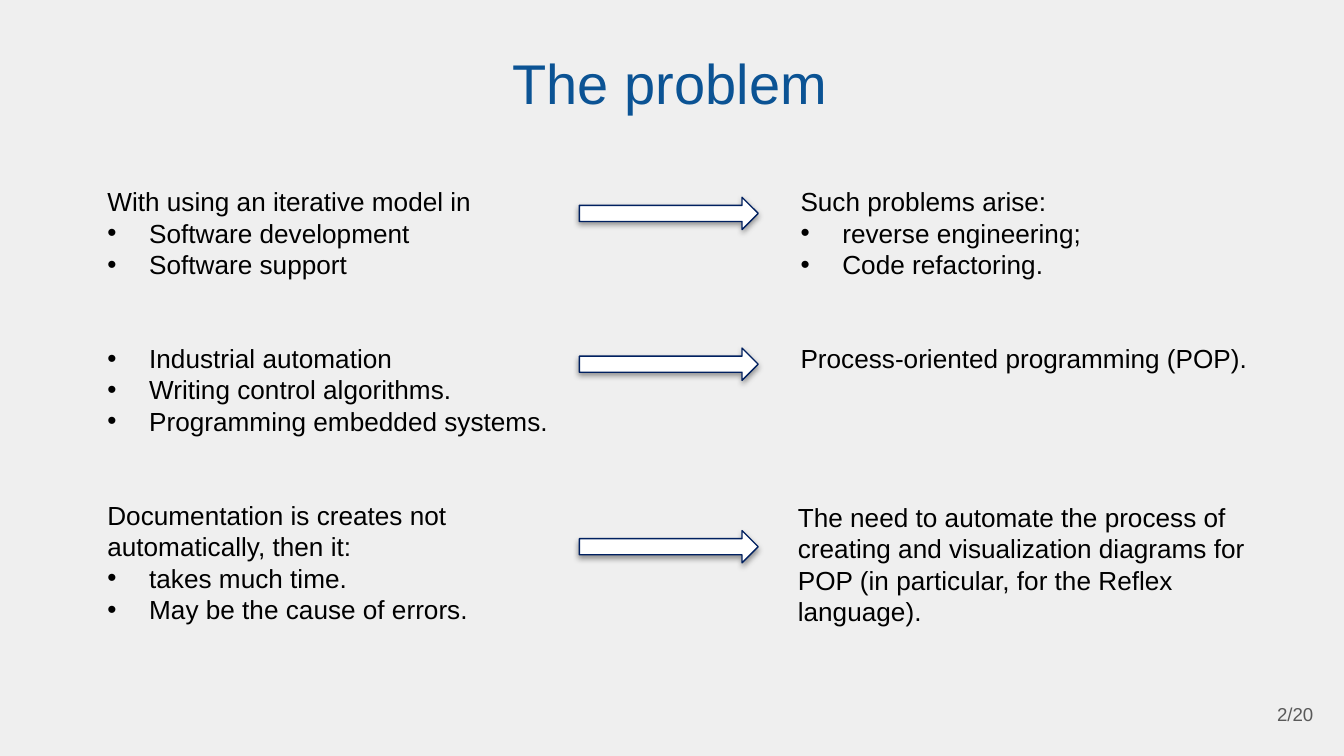
from pptx import Presentation
from pptx.dml.color import RGBColor as RGB
from pptx.enum.shapes import MSO_SHAPE as SHAPE
from pptx.enum.text import MSO_ANCHOR as ANCHOR, PP_ALIGN as ALIGN
from pptx.oxml import parse_xml
from pptx.oxml.ns import nsdecls
from pptx.util import Cm, Pt

HUES = {"back": "EFEFEF", "title": "0B5394", "text": "000000",
        "page": "595959", "fill": "FFFFFF", "line": "002060"}
LEAD = 16.8  # line pitch of the body text, in points


class Deck:
    """Holds the style and the current slide."""

    def __init__(self, wide, high):
        """Start a deck with one blank slide."""
        self.file = Presentation()
        self.file.slide_width, self.file.slide_height = Cm(wide), Cm(high)
        self.slide = self.file.slides.add_slide(self.file.slide_layouts[6])
        self.paint(self.slide.background.fill, "back")

    def paint(self, fill, hue):
        """Give a fill one solid colour."""
        fill.solid()
        fill.fore_color.rgb = RGB.from_string(HUES[hue])

    def text(self, box, lines, size=14, hue="text", align=ALIGN.LEFT,
             anchor=ANCHOR.TOP, pad=0.13, lead=None):
        """Add text; '* ' marks a bullet and '^' a gap of two lines above."""
        frame = self.slide.shapes.add_textbox(*map(Cm, box)).text_frame
        form = {"word_wrap": True, "vertical_anchor": anchor,
                "margin_left": Cm(0.25), "margin_right": Cm(0.25),
                "margin_top": Cm(pad), "margin_bottom": Cm(pad)}
        for key, value in form.items():
            setattr(frame, key, value)
        for i, line in enumerate(lines):
            para = frame.add_paragraph() if i else frame.paragraphs[0]
            para.alignment = align
            if lead:
                para.line_spacing = Pt(lead)
            if line.startswith("^"):
                para.space_before = Pt(2 * lead)
                line = line[1:]
            if line.startswith("* "):
                self.bullet(para)
                line = line[2:]
            run = para.add_run()
            run.text = line
            for key, value in {"size": Pt(size), "name": "Arial"}.items():
                setattr(run.font, key, value)
            run.font.color.rgb = RGB.from_string(HUES[hue])

    def bullet(self, para):
        """Give a paragraph a hanging bullet."""
        props = para._p.get_or_add_pPr()
        props.set("marL", str(Cm(0.79)))
        props.set("indent", str(-Cm(0.79)))
        for part in ('buFont {} typeface="Arial"', 'buChar {} char="•"'):
            props.append(parse_xml(f"<a:{part.format(nsdecls('a'))}/>"))

    def arrow(self, box):
        """Add a block arrow with a soft shadow below it."""
        shape = self.slide.shapes.add_shape(SHAPE.RIGHT_ARROW, *map(Cm, box))
        self.paint(shape.fill, "fill")
        self.paint(shape.line.fill, "line")
        shape.line.width = Pt(0.75)
        shape.shadow.inherit = False
        glow = parse_xml(
            f'<a:outerShdw {nsdecls("a")} blurRad="{Pt(3.1)}" dist="{Pt(1.6)}"'
            ' dir="5400000" rotWithShape="0"><a:srgbClr val="000000">'
            '<a:alpha val="38000"/></a:srgbClr></a:outerShdw>')
        shape._element.spPr.find(
            "{http://schemas.openxmlformats.org/drawingml/2006/main}effectLst"
        ).append(glow)


deck = Deck(25.4, 14.29)
deck.text((1.04, 0.36, 23.24, 2.08), ["The problem"], 30, "title",
          ALIGN.CENTER, ANCHOR.BOTTOM, 0.25)

BODY = [
    ((1.78, 3.38, 8.9, 8.64), [
        "With using an iterative model in",
        "* Software development",
        "* Software support",
        "^* Industrial automation",
        "* Writing control algorithms.",
        "* Programming embedded systems.",
        "^Documentation is creates not automatically, then it:",
        "* takes much time.",
        "* May be the cause of errors."]),
    ((14.88, 3.38, 9.6, 3.84), [
        "Such problems arise:",
        "* reverse engineering;",
        "* Code refactoring.",
        "^Process-oriented programming (POP)."]),
    ((14.83, 9.35, 9.68, 2.64), [
        "The need to automate the process of creating and visualization "
        "diagrams for POP (in particular, for the Reflex language)."]),
]
for box, lines in BODY:
    deck.text(box, lines, lead=LEAD)
for top in (3.73, 6.58, 10.03):
    deck.arrow((10.95, top, 3.38, 0.61))

deck.text((23.55, 12.95, 1.52, 1.09), ["2/20"], 10, "page",
          ALIGN.RIGHT, ANCHOR.MIDDLE, 0.25)
deck.file.save("out.pptx")
